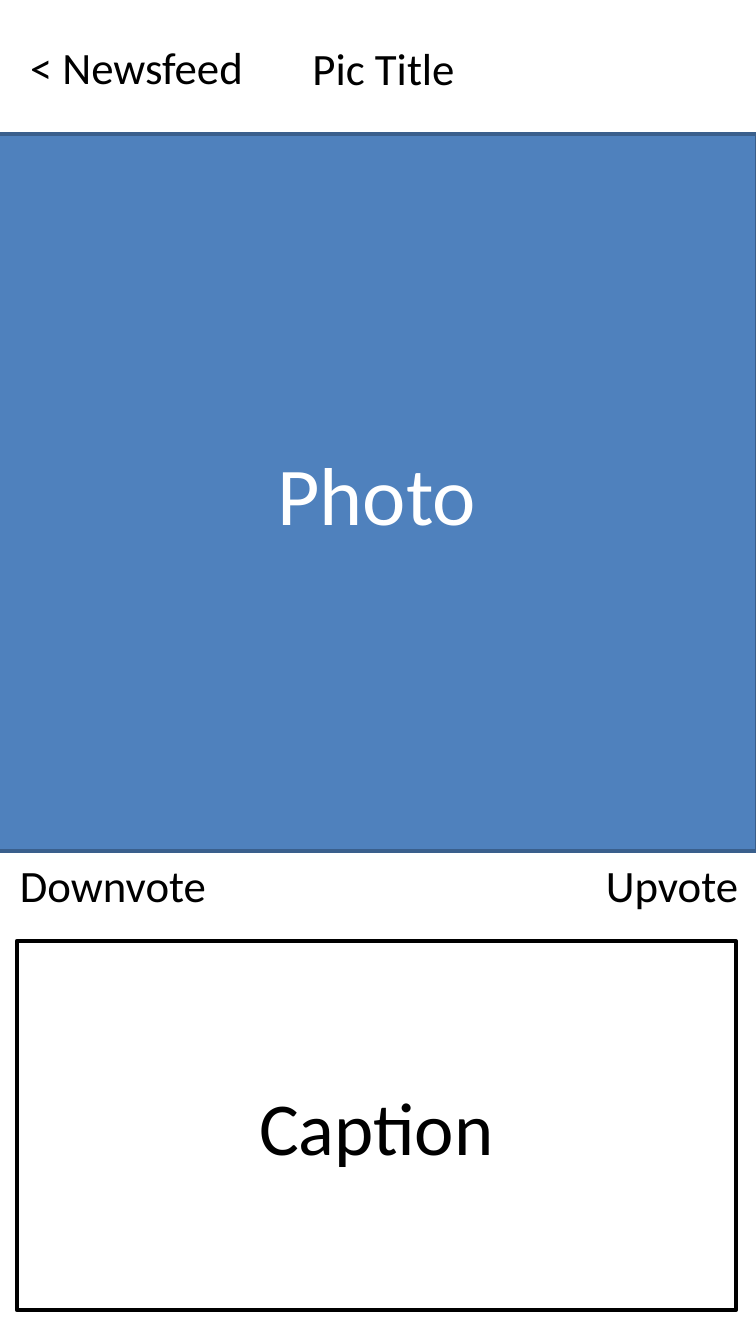
from pptx import Presentation
from pptx.dml.color import RGBColor
from pptx.enum import shapes, text
from pptx.util import Inches, Pt

WHITE = RGBColor(0xFF, 0xFF, 0xFF)
BLACK = RGBColor(0, 0, 0)
BLUE = RGBColor(0x4F, 0x81, 0xBD)
DARK_BLUE = RGBColor(0x3A, 0x5F, 0x8C)
FONT = "Calibri"
LABEL_HEIGHT = 0.5
PAGE_HEIGHT = 10
PAGE_WIDTH = PAGE_HEIGHT * 9 / 16
MARGIN = 1 / 8


def write(shape, words, size, color, align, anchor):
    """Put one formatted run of text into a shape."""
    frame = shape.text_frame
    frame.vertical_anchor = anchor
    para = frame.paragraphs[0]
    para.alignment = align
    span = para.add_run()
    span.text = words
    span.font.name = FONT
    span.font.size = Pt(size)
    span.font.color.rgb = color


def format_label(shape, words):
    """Write an unwrapped, left-aligned label."""
    shape.text_frame.word_wrap = False
    shape.text_frame.auto_size = text.MSO_AUTO_SIZE.SHAPE_TO_FIT_TEXT
    write(shape, words, 24, BLACK, text.PP_ALIGN.LEFT, text.MSO_ANCHOR.TOP)


def add_label(page, words, left, top, width):
    """Add a text label at the given place."""
    box = page.shapes.add_textbox(
        Inches(left), Inches(top), Inches(width), Inches(LABEL_HEIGHT))
    format_label(box, words)


def add_header(page, left, top):
    """Place the back link and the title in the top bar."""
    title = page.shapes.title
    title.left, title.top = Inches(left + 2.1), Inches(top)
    title.width, title.height = Inches(1.27), Inches(LABEL_HEIGHT)
    format_label(title, "Pic Title")
    add_label(page, "< Newsfeed", left, top, 1.8)


def add_votes(page, left, top, width):
    """Place the vote labels at the two ends of a row."""
    upvote_width = 1.2
    add_label(page, "Downvote", left, top, 1.6)
    add_label(page, "Upvote", left + width - upvote_width, top, upvote_width)


def add_panel(page, words, size, box, fill, line, color):
    """Add an outlined rectangle with a centred word."""
    panel = page.shapes.add_shape(
        shapes.MSO_SHAPE.RECTANGLE, *(Inches(length) for length in box))
    panel.shadow.inherit = False
    panel.fill.solid()
    panel.fill.fore_color.rgb = fill
    panel.line.color.rgb = line
    panel.line.width = Pt(2)
    write(panel, words, size, color, text.PP_ALIGN.CENTER, text.MSO_ANCHOR.MIDDLE)


def main():
    """Build the photo page and save it."""
    deck = Presentation()
    deck.slide_width, deck.slide_height = Inches(PAGE_WIDTH), Inches(PAGE_HEIGHT)
    page = deck.slides.add_slide(deck.slide_layouts.get_by_name("Title Only"))
    page.background.fill.solid()
    page.background.fill.fore_color.rgb = WHITE
    add_header(page, MARGIN, 0.25)
    add_panel(page, "Photo", 44, (-0.02, 1, 5.65, 5.33), BLUE, DARK_BLUE, WHITE)
    add_votes(page, 0.05, 6.33, 5.56)
    add_panel(page, "Caption", 40, (MARGIN, 7, 5.35, 2.75), WHITE, BLACK, BLACK)
    deck.save("out.pptx")


if __name__ == "__main__":
    main()
